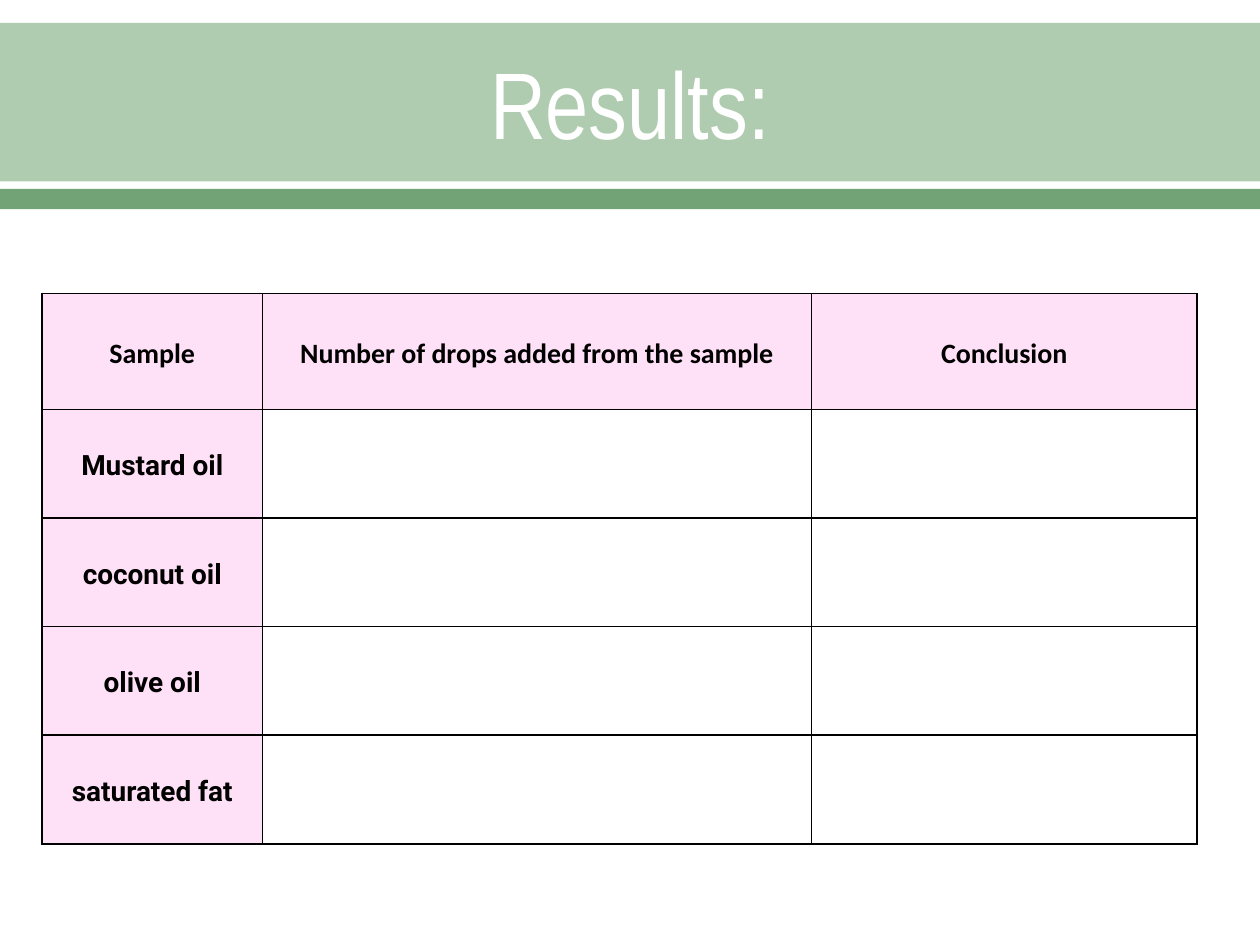
"""Build the results slide with its title band and an empty results table."""
from dataclasses import dataclass

from lxml import etree
from pptx import Presentation
from pptx.dml.color import RGBColor
from pptx.enum.shapes import MSO_SHAPE
from pptx.enum.text import MSO_ANCHOR, MSO_AUTO_SIZE, PP_ALIGN
from pptx.oxml.ns import qn
from pptx.slide import Slide
from pptx.table import _Cell
from pptx.util import Cm, Pt

RECTANGLE = MSO_SHAPE.RECTANGLE
MIDDLE = MSO_ANCHOR.MIDDLE
CENTER = PP_ALIGN.CENTER
NO_AUTOFIT = MSO_AUTO_SIZE.NONE

WHITE = RGBColor(0xFF, 0xFF, 0xFF)
BLACK = RGBColor(0x00, 0x00, 0x00)
LIGHT_GREEN = RGBColor(0xB0, 0xCC, 0xB0)
DARK_GREEN = RGBColor(0x72, 0xA3, 0x76)
PINK = RGBColor(0xFF, 0xE1, 0xF7)

SLIDE_WIDTH = Cm(25.4)
SLIDE_HEIGHT = Cm(19.05)
HEADINGS = ("Sample", "Number of drops added from the sample", "Conclusion")
SAMPLES = ("Mustard oil", "coconut oil", "olive oil", "saturated fat")
COLUMN_WIDTHS = (Cm(4.44), Cm(11.07), Cm(7.77))
HEADING_HEIGHT = Cm(2.33)
SAMPLE_HEIGHT = Cm(2.19)


@dataclass(frozen=True)
class Band:
    top: float
    height: float
    color: RGBColor


BANDS = (Band(0.46, 3.2, LIGHT_GREEN), Band(3.81, 0.41, DARK_GREEN))


def add_band(slide: Slide, band: Band) -> None:
    shape = slide.shapes.add_shape(
        RECTANGLE, 0, Cm(band.top), SLIDE_WIDTH, Cm(band.height)
    )
    shape.shadow.inherit = False
    shape.fill.solid()
    shape.fill.fore_color.rgb = band.color
    shape.line.fill.background()


def format_title(slide: Slide, text: str) -> None:
    title = slide.shapes.title
    slide.shapes._spTree.append(title._element)
    title.left, title.top, title.width, title.height = (
        Cm(1.27), Cm(0.51), Cm(22.86), Cm(3.1)
    )
    frame = title.text_frame
    frame.text = text
    frame.auto_size = NO_AUTOFIT
    frame.vertical_anchor = MIDDLE
    paragraph = frame.paragraphs[0]
    paragraph.alignment = CENTER
    paragraph.font.name = "Arial Narrow"
    paragraph.font.size = Pt(54)
    paragraph.font.color.rgb = WHITE


def add_borders(cell: _Cell) -> None:
    properties = cell._tc.get_or_add_tcPr()
    for index, side in enumerate(("a:lnL", "a:lnR", "a:lnT", "a:lnB")):
        line = etree.Element(qn(side), w=str(Pt(1)))
        fill = etree.SubElement(line, qn("a:solidFill"))
        etree.SubElement(fill, qn("a:srgbClr"), val=str(BLACK))
        properties.insert(index, line)


def write_label(cell: _Cell, text: str, font_name: str) -> None:
    cell.fill.solid()
    cell.fill.fore_color.rgb = PINK
    cell.vertical_anchor = MIDDLE
    cell.margin_left = cell.margin_right = Cm(0.18)
    cell.margin_top = cell.margin_bottom = 0
    cell.text = text
    paragraph = cell.text_frame.paragraphs[0]
    paragraph.alignment = CENTER
    paragraph.line_spacing = 1.15
    paragraph.font.name = font_name
    paragraph.font.size = Pt(16)
    paragraph.font.bold = True
    paragraph.font.color.rgb = BLACK


def add_results_table(slide: Slide) -> None:
    row_heights = (HEADING_HEIGHT,) + (SAMPLE_HEIGHT,) * len(SAMPLES)
    table = slide.shapes.add_table(
        len(row_heights), len(COLUMN_WIDTHS), Cm(0.85), Cm(5.92),
        sum(COLUMN_WIDTHS), sum(row_heights),
    ).table
    for column, width in zip(table.columns, COLUMN_WIDTHS):
        column.width = width
    for row, height in zip(table.rows, row_heights):
        row.height = height
    for cell in table.iter_cells():
        cell.fill.background()
        add_borders(cell)
    for column_index, heading in enumerate(HEADINGS):
        write_label(table.cell(0, column_index), heading, "Calibri")
    for row_index, sample in enumerate(SAMPLES, start=1):
        write_label(table.cell(row_index, 0), sample, "Roboto")


def main() -> None:
    presentation = Presentation()
    presentation.slide_width = SLIDE_WIDTH
    presentation.slide_height = SLIDE_HEIGHT
    title_only = presentation.slide_layouts.get_by_name("Title Only")
    slide = presentation.slides.add_slide(title_only)
    for band in BANDS:
        add_band(slide, band)
    format_title(slide, "Results:")
    add_results_table(slide)
    presentation.save("out.pptx")


if __name__ == "__main__":
    main()
